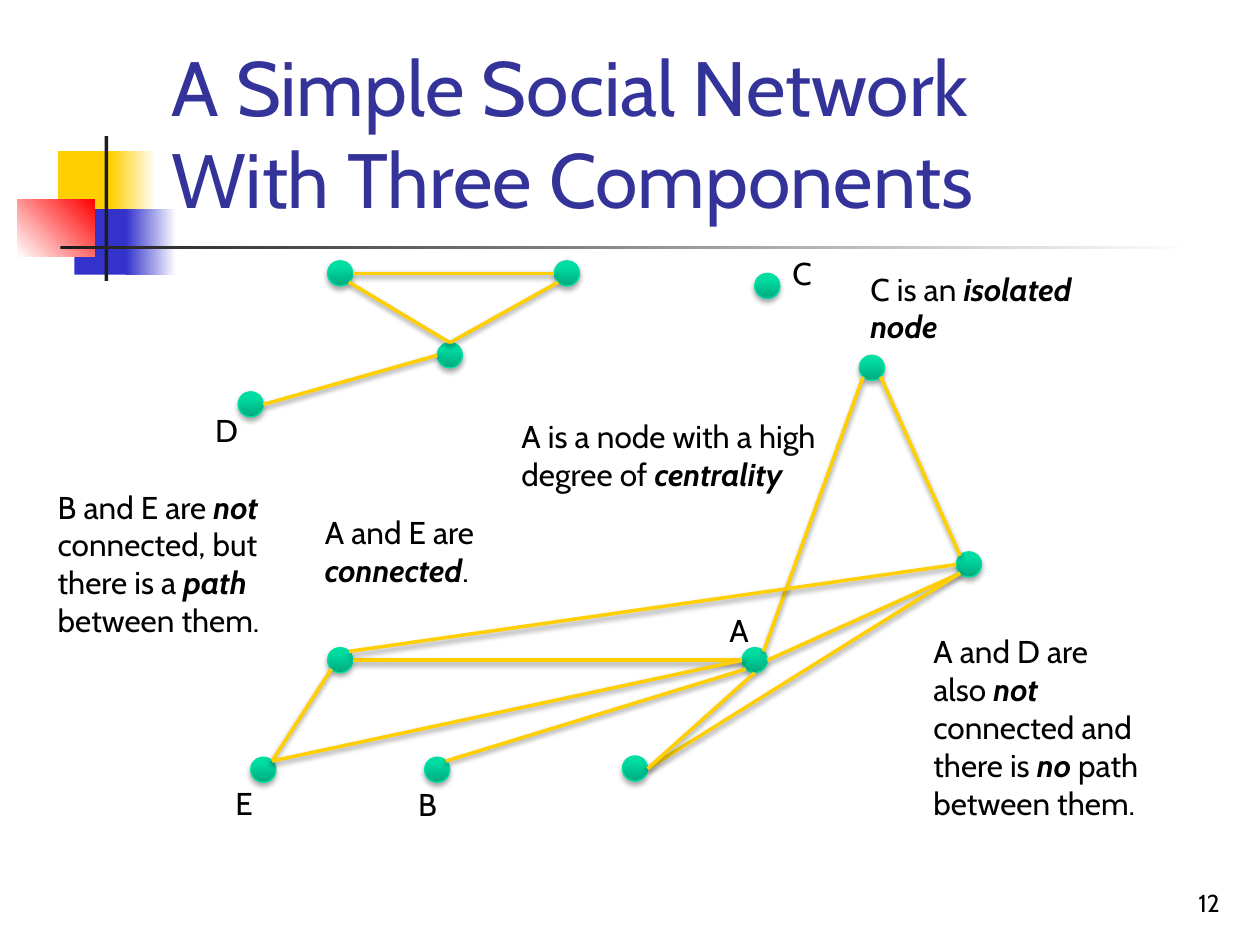
from pptx import Presentation
from pptx.dml.color import RGBColor
from pptx.enum.shapes import MSO_CONNECTOR as Connector, MSO_SHAPE as Shape
from pptx.enum.text import MSO_ANCHOR as Anchor, MSO_AUTO_SIZE as AutoSize, PP_ALIGN as Align
from pptx.oxml import parse_xml
from pptx.oxml.ns import nsdecls
from pptx.util import Inches, Pt

FONT = "Cabin"
GOLD, BLUE, DARK, WHITE, BLACK = "FFCF01", "3333CC", "1C1C1C", "FFFFFF", "000000"
TITLE = "A Simple Social Network\vWith Three Components"
TITLE_BOX = (1.26, 0.23, 8.52, 1.6)
PAGE, PAGE_BOX = "12", (7.7, 6.83, 2.08, 0.5)

DECORATION = [
    ((0.46, 1.2, 0.48, 0.52), [(0, GOLD)], 0),
    ((0.88, 1.2, 0.36, 0.52), [(0, GOLD), (100, WHITE)], 0),
    ((0.59, 1.66, 0.46, 0.52), [(0, BLUE)], 0),
    ((1, 1.66, 0.4, 0.52), [(0, BLUE), (100, WHITE)], 0),
    ((0.14, 1.58, 0.61, 0.46), [(0, WHITE), (100, "FF0000")], 315),
    ((0.83, 1.08, 0.03, 1.15), [(0, DARK)], 0),
    ((0.48, 1.95, 9, 0.03), [(0, DARK), (100, WHITE)], 0),
]

RADIUS = 0.1
NODE_STOPS = [(0, "00AA7D"), (80, "00DDA3"), (100, "00DEA4")]
NODES = {
    "upper left": (2.7, 2.17), "upper right": (4.5, 2.17), "C": (6.09, 2.27),
    "peak": (6.92, 2.92), "hub": (3.57, 2.82), "D": (1.99, 3.21),
    "E": (2.09, 6.11), "left": (2.7, 5.24), "B": (3.47, 6.11),
    "A": (5.99, 5.24), "low": (5.04, 6.1), "right": (7.69, 4.48),
}
COMPASS = {
    "n": (0, -1), "s": (0, 1), "e": (1, 0), "w": (-1, 0),
    "ne": (0.7, -0.7), "nw": (-0.7, -0.7), "se": (0.7, 0.7), "sw": (-0.7, 0.7),
}
EDGES = [
    ("upper left", "e", "upper right", "w"), ("hub", "n", "upper left", "se"),
    ("hub", "n", "upper right", "sw"), ("E", "ne", "left", "sw"),
    ("left", "e", "A", "w"), ("peak", "se", "right", "nw"),
    ("A", "ne", "peak", "sw"), ("left", "ne", "right", "w"),
    ("A", "e", "right", "sw"), ("low", "e", "right", "sw"),
    ("B", "ne", "A", "sw"), ("D", "e", "hub", "w"),
    ("low", "e", "A", "s"), ("E", "ne", "A", "w"),
]
LABELS = [
    ("C", (6.19, 1.97)), ("D", (1.61, 3.21)), ("A", (5.69, 4.8)),
    ("E", (1.77, 6.17)), ("B", (3.22, 6.18)),
]
LABEL_SIZE = (0.35, 0.4)
NOTES = [
    ((2.48, 4.02, 1.83, 0.71), ["A and E are ", "connected", "."]),
    ((0.36, 3.82, 1.83, 1.31),
     ["B and E are ", "not", " connected, but there is a ", "path ", "between them."]),
    ((7.31, 4.97, 1.83, 1.92),
     ["A and D are also ", "not", " connected and there is ", "no", " path between them."]),
    ((6.81, 2.09, 2.33, 0.71), ["C is an ", "isolated node"]),
    ((4.04, 3.26, 2.68, 0.71), ["A is a node with a high degree of ", "centrality"]),
]


def color(code):
    """Return the colour for a hex string."""
    return RGBColor.from_string(code)


def inches(values):
    """Return the values as lengths in inches."""
    return [Inches(value) for value in values]


def paint(shape, stops, angle):
    """Fill a shape with one colour or a linear gradient."""
    shape.shadow.inherit = False
    shape.line.fill.background()
    if len(stops) == 1:
        shape.fill.solid()
        shape.fill.fore_color.rgb = color(stops[0][1])
        return
    marks = "".join(f'<a:gs pos="{at * 1000}"><a:srgbClr val="{code}"/></a:gs>' for at, code in stops)
    shape._element.spPr.insert(2, parse_xml(
        f'<a:gradFill {nsdecls("a")} rotWithShape="1"><a:gsLst>{marks}</a:gsLst>'
        f'<a:lin ang="{angle * 60000}" scaled="0"/></a:gradFill>'))


def cast_shadow(shape, opacity, distance):
    """Give a shape or connector a soft shadow below it."""
    properties = shape._element.spPr
    for effects in properties.xpath("a:effectLst"):
        properties.remove(effects)
    properties.append(parse_xml(
        f'<a:effectLst {nsdecls("a")}><a:outerShdw blurRad="{Pt(3.1)}" dist="{Pt(distance)}" '
        f'dir="5400000" rotWithShape="0"><a:srgbClr val="{BLACK}">'
        f'<a:alpha val="{opacity * 1000}"/></a:srgbClr></a:outerShdw></a:effectLst>'))


def site(node, direction):
    """Return the point on a node's rim in a compass direction."""
    return [middle + RADIUS * step for middle, step in zip(NODES[node], COMPASS[direction])]


def write(frame, parts, size, code=BLACK, align=Align.LEFT, **layout):
    """Write runs into a frame, with every second run emphasised."""
    settings = {"word_wrap": True, "auto_size": AutoSize.NONE, "vertical_anchor": Anchor.TOP}
    for key, value in (settings | layout).items():
        setattr(frame, key, value)
    paragraph = frame.paragraphs[0]
    paragraph.alignment = align
    if len(parts) == 1:
        paragraph.text = parts[0]
    else:
        for part in parts:
            paragraph.add_run().text = part
    for index, run in enumerate(paragraph.runs):
        strong = len(parts) > 1 and index % 2 == 1
        for key, value in {"name": FONT, "size": Pt(size), "bold": strong, "italic": strong}.items():
            setattr(run.font, key, value)
        run.font.color.rgb = color(code)


def main():
    """Build the social network slide."""
    deck = Presentation()
    deck.slide_width, deck.slide_height = inches((10, 7.5))
    slide = deck.slides.add_slide(deck.slide_layouts[5])
    shapes = slide.shapes

    for box, stops, angle in DECORATION:
        paint(shapes.add_shape(Shape.RECTANGLE, *inches(box)), stops, angle)

    title = shapes.title
    title.left, title.top, title.width, title.height = inches(TITLE_BOX)
    write(title.text_frame, [TITLE], 44, "333399", vertical_anchor=Anchor.BOTTOM)
    page = shapes.add_textbox(*inches(PAGE_BOX))
    write(page.text_frame, [PAGE], 14, align=Align.RIGHT, vertical_anchor=Anchor.BOTTOM)

    for x, y in NODES.values():
        box = (x - RADIUS, y - RADIUS, 2 * RADIUS, 2 * RADIUS)
        node = shapes.add_shape(Shape.OVAL, *inches(box))
        paint(node, NODE_STOPS, 270)
        node.line.color.rgb = color("00DFA4")
        node.line.width = Pt(0.75)
        cast_shadow(node, 35, 1.8)

    for start, leaving, end, arriving in EDGES:
        ends = site(start, leaving) + site(end, arriving)
        edge = shapes.add_connector(Connector.STRAIGHT, *inches(ends))
        edge.line.color.rgb = color(GOLD)
        edge.line.width = Pt(2)
        cast_shadow(edge, 38, 1.6)

    for letter, corner in LABELS:
        label = shapes.add_textbox(*inches(corner + LABEL_SIZE))
        write(label.text_frame, [letter], 18, word_wrap=False)
    for box, parts in NOTES:
        write(shapes.add_textbox(*inches(box)).text_frame, parts, 18)

    deck.save("out.pptx")


if __name__ == "__main__":
    main()
